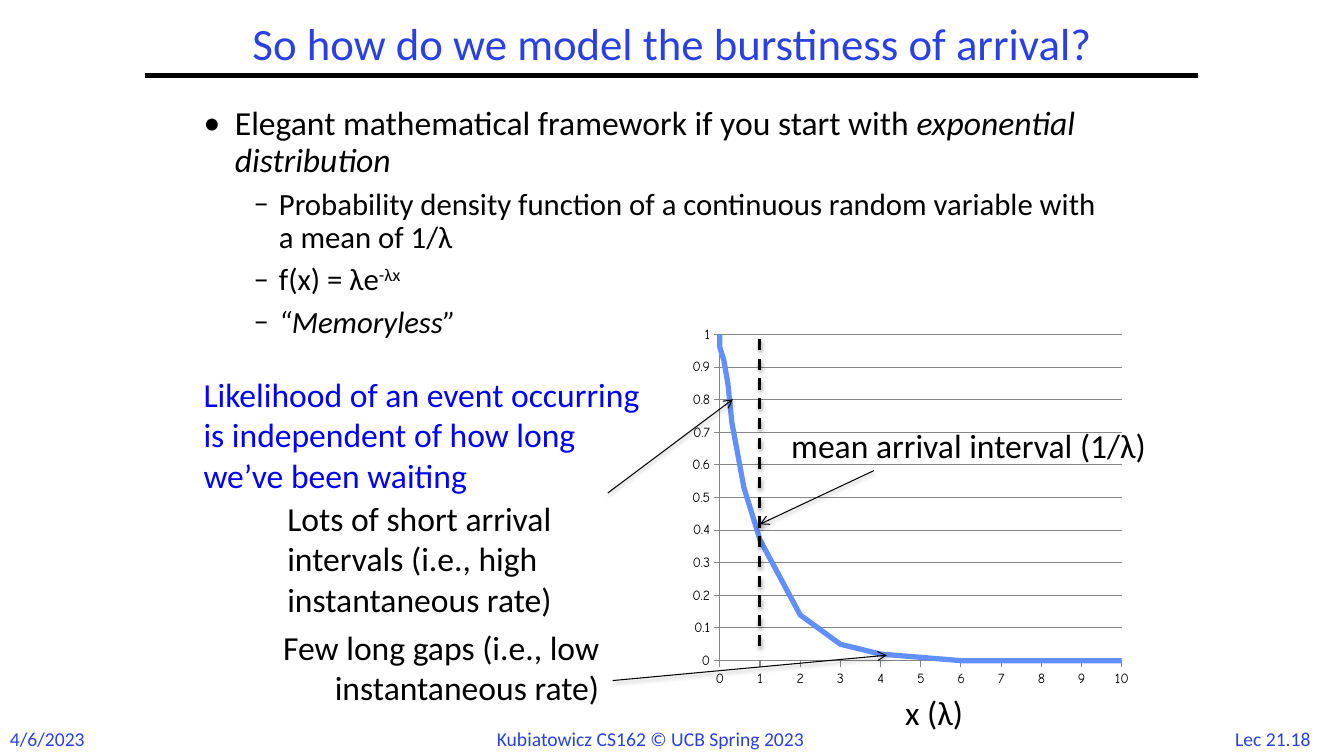
"""Builds a slide on modelling bursty arrivals with the exponential distribution."""
import pptx
import pptx.chart.data
import pptx.dml.color
import pptx.enum.chart
import pptx.enum.dml
import pptx.enum.shapes
import pptx.enum.text
import pptx.oxml
import pptx.oxml.ns
import pptx.util
from lxml import etree

Cm, Pt = pptx.util.Cm, pptx.util.Pt
ALIGN = pptx.enum.text.PP_ALIGN
ANCHOR = pptx.enum.text.MSO_ANCHOR
FONT, CHART_FONT = "Calibri", "Comic Neue"
BLACK, BLUE, BRIGHT, CURVE, GRID = "000000", "2A40E2", "0000FF", "618FFD", "868686"

TITLE = ("So how do we model the burstiness of arrival?", (5.16, 0.43, 23.57, 1.47))
BODY_BOX = (4.88, 2.57, 23.5, 14.48)
BODY = [
    (0, [("Elegant mathematical framework if you start with ", ""),
         ("exponential distribution", "italic")]),
    (1, [("Probability density function of a continuous random variable "
          "with a mean of 1/λ", "")]),
    (1, [("f(x) = λe", ""), ("-λx", "super")]),
    (1, [("“Memoryless”", "italic")]),
]
LEVELS = [
    {"bullet": "•", "size": 24, "margin": 0.79, "hang": 0.79},
    {"bullet": "–", "size": 22, "margin": 1.9, "hang": 0.64},
]
FOOTERS = [
    ("4/6/2023", (0, 18.19, 2.44, 0.86), ALIGN.LEFT),
    ("Kubiatowicz CS162 © UCB Spring 2023", (12.27, 18.19, 9.35, 0.86), ALIGN.LEFT),
    ("Lec 21.18", (30.71, 18.19, 2.74, 0.84), ALIGN.CENTER),
]
NOTES = [
    ("Likelihood of an event occurring is independent of how long we’ve been waiting",
     (4.88, 9.3, 11.86, 3.33), BRIGHT, ALIGN.LEFT, True),
    ("Lots of short arrival intervals (i.e., high instantaneous rate)",
     (6.99, 12.42, 10.26, 3.33), BLACK, ALIGN.LEFT, True),
    ("Few long gaps (i.e., low instantaneous rate)",
     (5.77, 15.67, 9.58, 2.31), BLACK, ALIGN.RIGHT, True),
    ("x (λ)", (22.56, 17.3, 2.18, 1.27), BLACK, ALIGN.LEFT, False),
    ("mean arrival interval (1/λ)", (19.69, 10.59, 10.16, 1.27), BLACK, ALIGN.LEFT, False),
]
TITLE_RULE = (3.66, 1.9, 30.2, 1.9)
MEAN_LINE = (19.15, 16.28, 19.15, 8.46)
ARROWS = [
    (15.32, 12.42, 18.47, 10.06),
    (15.44, 17.15, 22.35, 16.51),
    (22.02, 11.86, 19.15, 13.21),
]
CHART_BOX = (17.22, 8.05, 11.51, 9.45)
PLOT_AREA = {"x": 0.08, "y": 0.04, "w": 0.88, "h": 0.87}
DENSITY = [
    (0, 1), (0, 0.99), (0, 0.98), (0, 0.96), (0.1, 0.92), (0.2, 0.85),
    (0.3, 0.73), (0.6, 0.53), (1, 0.37), (2, 0.14), (3, 0.05), (4, 0.02),
    (5, 0.01), (6, 0), (7, 0), (8, 0), (10, 0),
]


def rgb(value):
    return pptx.dml.color.RGBColor.from_string(value)


def add_child(parent, tag, **attrs):
    el = etree.SubElement(parent, pptx.oxml.ns.qn(tag))
    for name, value in attrs.items():
        el.set(name, str(value))
    return el


def add_run(p, text, size, color, style=""):
    r = p.add_run()
    r.text = text
    r.font.name, r.font.size = FONT, Pt(size)
    r.font.color.rgb = rgb(color)
    if style == "italic":
        r.font.italic = True
    elif style == "super":
        r.font._element.set("baseline", "30000")


def add_box(s, box, wrap=True):
    tf = s.shapes.add_textbox(*map(Cm, box)).text_frame
    tf.word_wrap = wrap
    return tf


def add_label(s, text, box, size, color, align, wrap):
    tf = add_box(s, box, wrap)
    p = tf.paragraphs[0]
    p.alignment = align
    add_run(p, text, size, color)
    return tf


def add_line(s, ends, width, arrow=False, dashed=False, shadow=True):
    line = s.shapes.add_connector(pptx.enum.shapes.MSO_CONNECTOR.STRAIGHT, *map(Cm, ends))
    line.line.color.rgb = rgb(BLACK)
    line.line.width = Pt(width)
    if dashed:
        line.line.dash_style = pptx.enum.dml.MSO_LINE.DASH
    if arrow:
        add_child(line.line._get_or_add_ln(), "a:tailEnd", type="arrow")
    effects = add_child(line._element.spPr, "a:effectLst")
    if shadow:
        outer = add_child(effects, "a:outerShdw", blurRad=Pt(3.1), dist=Pt(1.6),
                          dir=5400000, rotWithShape=0)
        add_child(add_child(outer, "a:srgbClr", val=BLACK), "a:alpha", val=38000)


def add_body(s):
    tf = add_box(s, BODY_BOX)
    for i, (level, runs) in enumerate(BODY):
        p = tf.paragraphs[0] if i == 0 else tf.add_paragraph()
        look = LEVELS[level]
        p.level = level
        p.line_spacing = 0.9
        if i:
            p.space_before = Pt(6.5)
        pPr = p._p.get_or_add_pPr()
        pPr.set("marL", str(Cm(look["margin"])))
        pPr.set("indent", str(-Cm(look["hang"])))
        add_child(pPr, "a:buFont", typeface=FONT)
        add_child(pPr, "a:buChar", char=look["bullet"])
        for text, style in runs:
            add_run(p, text, look["size"], BLACK, style)


def add_density_chart(s):
    data = pptx.chart.data.XyChartData()
    series = data.add_series("Series 1")
    for x, y in DENSITY:
        series.add_data_point(x, y)
    kind = pptx.enum.chart.XL_CHART_TYPE.XY_SCATTER_LINES_NO_MARKERS
    chart = s.shapes.add_chart(kind, *map(Cm, CHART_BOX), data).chart
    chart.has_legend = chart.has_title = False
    chart.font.name, chart.font.size = CHART_FONT, Pt(10)
    chart.font.color.rgb = rgb(BLACK)
    chart.plots[0].vary_by_categories = False
    for axis, top, step in ((chart.category_axis, 10, 1), (chart.value_axis, 1, 0.1)):
        axis.minimum_scale, axis.maximum_scale, axis.major_unit = 0, top, step
        axis.major_tick_mark = pptx.enum.chart.XL_TICK_MARK.OUTSIDE
        axis.tick_labels.number_format = "General"
        axis.tick_labels.number_format_is_linked = False
        axis.format.line.color.rgb = rgb(GRID)
    chart.category_axis.has_major_gridlines = False
    chart.value_axis.has_major_gridlines = True
    chart.value_axis.major_gridlines.format.line.color.rgb = rgb(GRID)
    curve = chart.plots[0].series[0]
    curve.smooth = False
    curve.format.line.color.rgb = rgb(CURVE)
    curve.format.line.width = Pt(3.75)
    area = chart._chartSpace.chart.plotArea
    for old in area.findall(pptx.oxml.ns.qn("c:layout")):
        area.remove(old)
    layout = etree.Element(pptx.oxml.ns.qn("c:layout"))
    manual = add_child(layout, "c:manualLayout")
    add_child(manual, "c:layoutTarget", val="inner")
    for side in "xy":
        add_child(manual, f"c:{side}Mode", val="edge")
    for side, share in PLOT_AREA.items():
        add_child(manual, f"c:{side}", val=share)
    area.insert(0, layout)


def main():
    prs = pptx.Presentation()
    prs.slide_width, prs.slide_height = Cm(33.87), Cm(19.05)
    s = prs.slides.add_slide(prs.slide_layouts[6])
    for text, box, align in FOOTERS:
        add_label(s, text, box, 14, BLUE, align, False)
    add_line(s, TITLE_RULE, 3, shadow=False)
    add_body(s)
    add_density_chart(s)
    tf = add_label(s, *TITLE, 32, BLUE, ALIGN.CENTER, True)
    tf.vertical_anchor = ANCHOR.MIDDLE
    tf.paragraphs[0].line_spacing = 0.9
    for text, box, color, align, wrap in NOTES:
        add_label(s, text, box, 24, color, align, wrap)
    add_line(s, MEAN_LINE, 2, dashed=True)
    for ends in ARROWS:
        add_line(s, ends, 0.75, arrow=True)
    prs.save("out.pptx")


if __name__ == "__main__":
    main()
